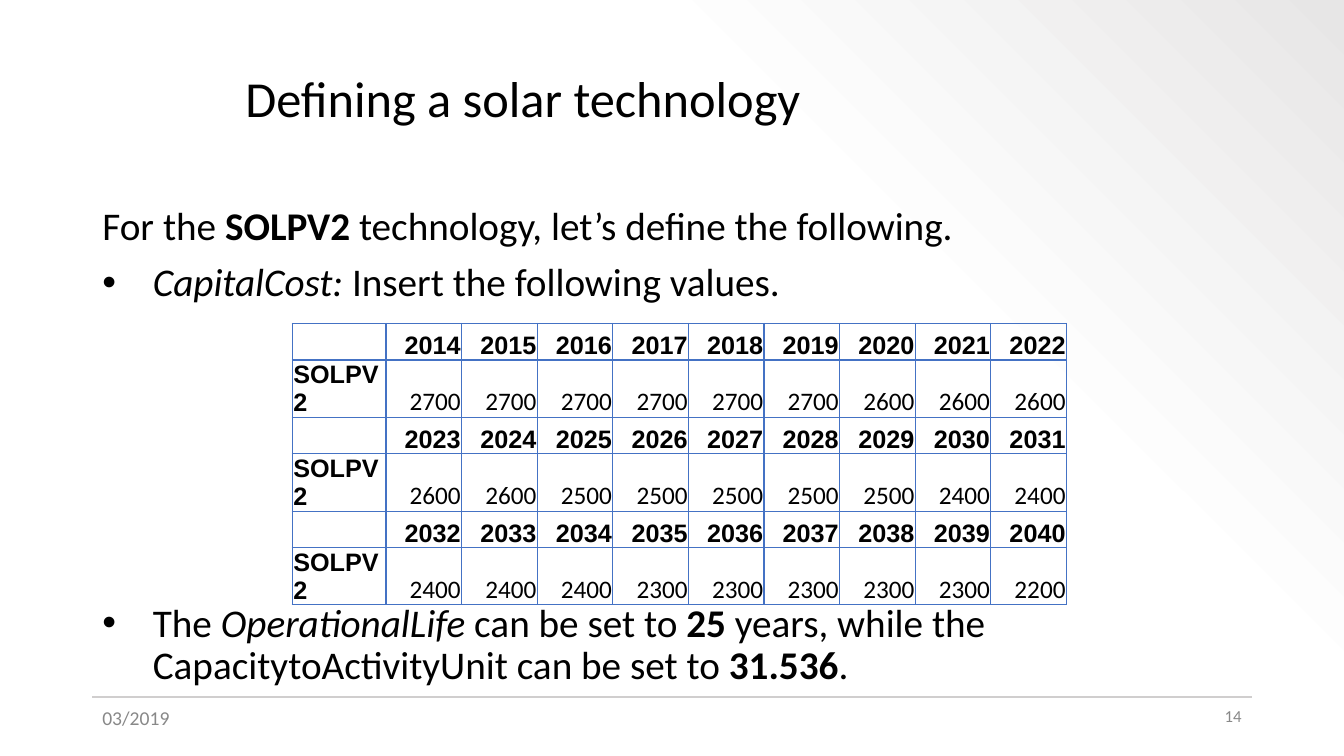
from lxml import etree
from pptx import Presentation
from pptx.dml.color import RGBColor
from pptx.enum.shapes import MSO_CONNECTOR as Link
from pptx.enum.text import MSO_ANCHOR as Anchor, MSO_AUTO_SIZE as Auto, PP_ALIGN as Align
from pptx.oxml import parse_xml
from pptx.oxml.ns import nsdecls, qn
from pptx.util import Pt

BLACK, GRAY, BLUE = "000000", "888888", "4472C4"


def paint(color, code):
    color.rgb = RGBColor.from_string(code)


def style(run, size, code=BLACK, name="Calibri", bold=False, slant=False):
    font = run.font
    font.size, font.name, font.bold, font.italic = Pt(size), name, bold, slant
    paint(font.color, code)


deck = Presentation()
deck.slide_width, deck.slide_height = Pt(960), Pt(540)
slide = deck.slides.add_slide(deck.slide_layouts[1])
shapes = slide.shapes

# Background: white fading to gray in the top right corner
slide.element.cSld.insert(0, parse_xml(
    f'<p:bg {nsdecls("p", "a")}><p:bgPr><a:gradFill><a:gsLst>'
    '<a:gs pos="0"><a:srgbClr val="FFFFFF"/></a:gs>'
    '<a:gs pos="69000"><a:srgbClr val="FDFDFD"/></a:gs>'
    '<a:gs pos="100000"><a:srgbClr val="E7E6E6"><a:alpha val="50000"/></a:srgbClr></a:gs>'
    '</a:gsLst><a:lin ang="18900000" scaled="0"/></a:gradFill><a:effectLst/></p:bgPr></p:bg>'))

# Title
title = shapes.title
title.left, title.top, title.width, title.height = Pt(168), Pt(28.8), Pt(726), Pt(86.4)
frame = title.text_frame
frame.text = "Defining a solar technology"
frame.auto_size, frame.vertical_anchor = Auto.NONE, Anchor.MIDDLE
para = frame.paragraphs[0]
para.alignment, para.line_spacing = Align.LEFT, 0.9
style(para.runs[0], 36)

# Body: bullet flag, space before, and runs marked "b" (bold) or "i" (italic)
points = [
    (False, 0, [("For the ", ""), ("SOLPV2 ", "b"),
                ("technology, let’s define the following.", "")]),
    (True, 10, [("CapitalCost: ", "i"), ("Insert the following values.", "")]),
    (True, 213, [("The ", ""), ("OperationalLife", "i"), (" can be set to ", ""),
                 ("25 ", "b"), ("years, while the CapacitytoActivityUnit can be set to ", ""),
                 ("31.536", "b"), (".", "")]),
]
body = slide.placeholders[1]
body.left, body.top, body.width, body.height = Pt(66), Pt(144), Pt(828), Pt(396)
frame = body.text_frame
frame.auto_size, frame.vertical_anchor = Auto.NONE, Anchor.TOP
for i, (dot, gap, parts) in enumerate(points):
    para = frame.add_paragraph() if i else frame.paragraphs[0]
    props = para._p.get_or_add_pPr()
    indent = Pt(36) if dot else 0
    props.set("marL", str(indent))
    props.set("indent", str(-indent))
    if dot:
        tint = etree.SubElement(props, qn("a:buClr"))
        etree.SubElement(tint, qn("a:srgbClr"), val=BLACK)
        etree.SubElement(props, qn("a:buFont"), typeface="Arial")
        etree.SubElement(props, qn("a:buChar"), char="•")
    else:
        etree.SubElement(props, qn("a:buNone"))
    para.line_spacing, para.space_before, para.space_after = 0.9, Pt(gap), Pt(0)
    for text, mark in parts:
        run = para.add_run()
        run.text = text
        style(run, 28, bold=mark == "b", slant=mark == "i")

# Footer
rule = shapes.add_connector(Link.STRAIGHT, Pt(66), Pt(498), Pt(894), Pt(498))
rule.line.width = Pt(1.5)
paint(rule.line.color, "D0CECE")
etree.SubElement(rule._element.spPr, qn("a:effectLst"))
for left, text, size, side in [(66, "03/2019", 14, Align.LEFT), (800.4, "14", 12, Align.RIGHT)]:
    frame = shapes.add_textbox(Pt(left), Pt(500.4), Pt(93.6), Pt(28.8)).text_frame
    frame.word_wrap = True
    frame.text = text
    frame.paragraphs[0].alignment = side
    style(frame.paragraphs[0].runs[0], size, GRAY)

# Capital costs: each block has a row of years over a row of values
costs = [
    (2014, [2700] * 6 + [2600] * 3),
    (2023, [2600] * 2 + [2500] * 5 + [2400] * 2),
    (2032, [2400] * 3 + [2300] * 5 + [2200]),
]
rows = []
for start, values in costs:
    rows.append([""] + [start + n for n in range(9)])
    rows.append(["SOLPV2"] + values)

# Value rows are set to the height of their two-line label
table = shapes.add_table(6, 10, Pt(208.8), Pt(231.1), Pt(553), Pt(201)).table
table.first_row = table.horz_banding = False
for c, col in enumerate(table.columns):
    col.width = Pt(54 if c else 67)
for r, row in enumerate(rows):
    table.rows[r].height = Pt(41 if r % 2 else 26)
    for c, value in enumerate(row):
        cell = table.cell(r, c)
        cell.margin_left = cell.margin_right = cell.margin_top = Pt(0.7)
        cell.margin_bottom = 0
        cell.vertical_anchor = Anchor.BOTTOM
        props = cell._tc.get_or_add_tcPr()
        for side in ("lnL", "lnR", "lnT", "lnB"):
            edge = etree.SubElement(props, qn(f"a:{side}"), w=str(Pt(1)))
            fill = etree.SubElement(edge, qn("a:solidFill"))
            etree.SubElement(fill, qn("a:srgbClr"), val=BLUE)
        cell.fill.background()
        cell.text = str(value)
        para = cell.text_frame.paragraphs[0]
        para.alignment = Align.RIGHT if c else Align.LEFT
        if c == 0:
            para.line_spacing = Pt(20)
        head = r % 2 == 0 or c == 0
        for run in para.runs:
            style(run, 18, name="Arial" if head else "Calibri", bold=head)

deck.save("out.pptx")
